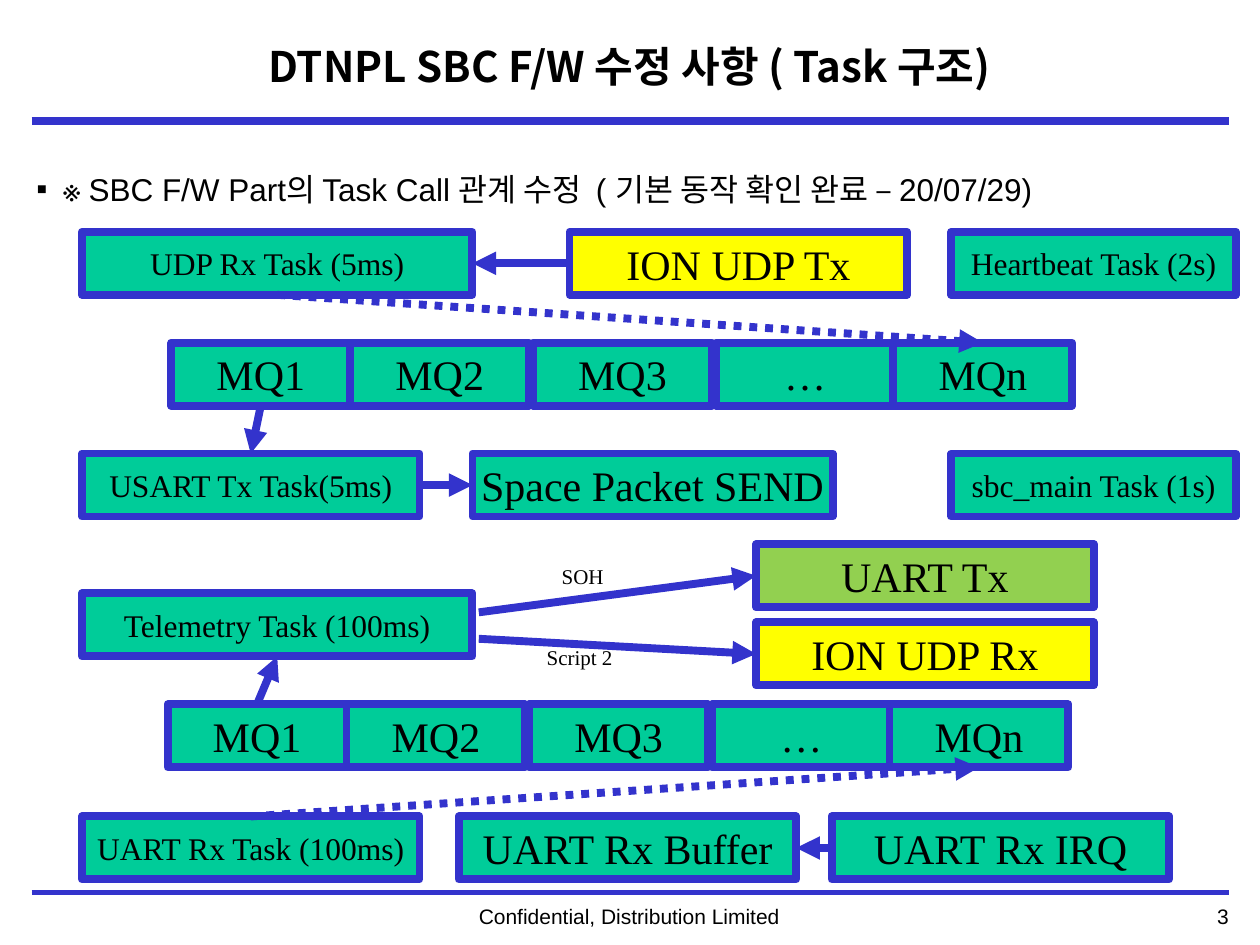
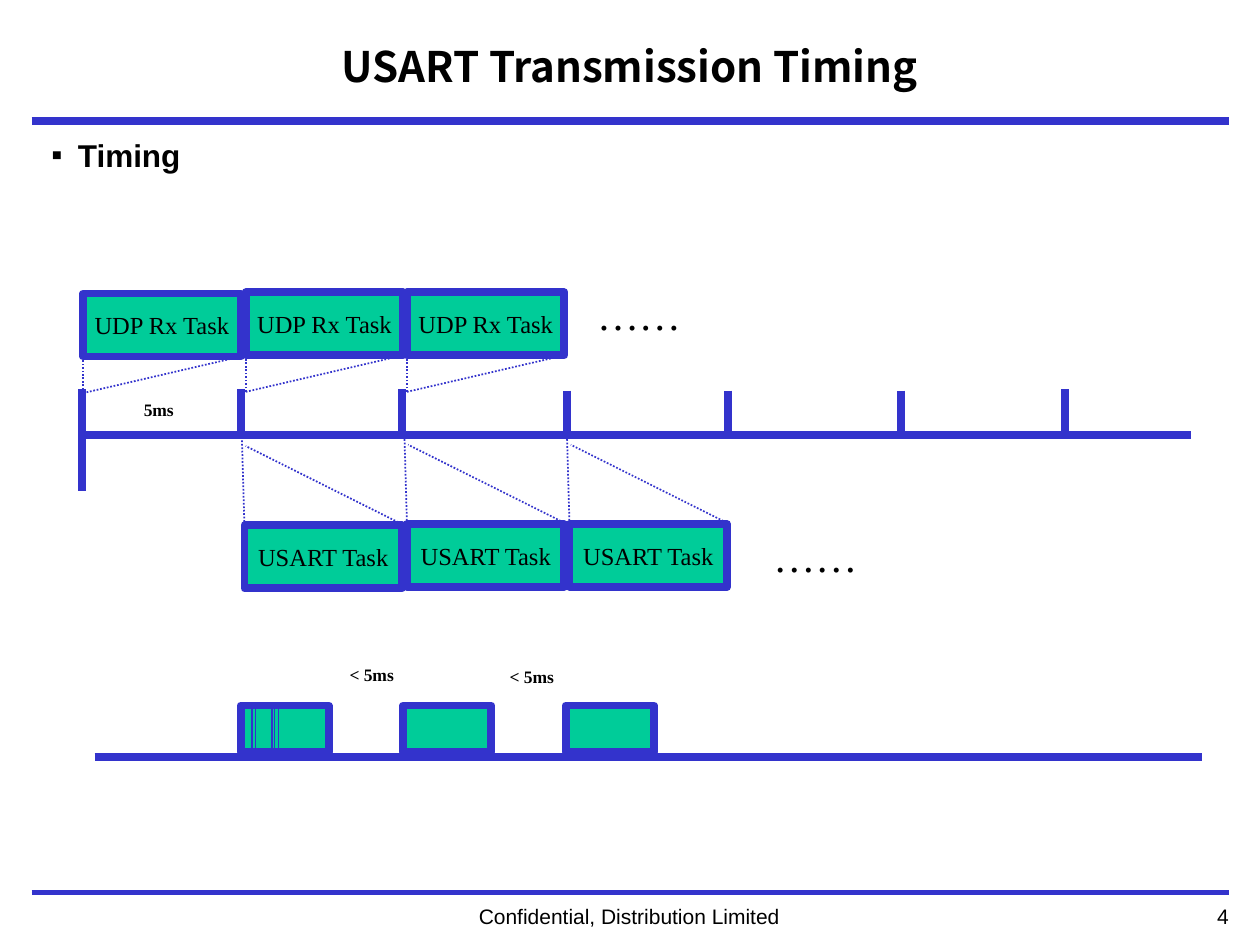
"""Build two slides on firmware task structure and transmission timing."""
from lxml.etree import SubElement
from pptx import Presentation
from pptx.dml.color import RGBColor
from pptx.enum.dml import MSO_LINE
from pptx.enum.shapes import MSO_CONNECTOR, MSO_SHAPE
from pptx.enum.text import MSO_ANCHOR, MSO_AUTO_SIZE, PP_ALIGN
from pptx.oxml.ns import qn
from pptx.util import Pt

PX = 9144
BLUE = RGBColor(0x33, 0x33, 0xCC)
GREEN = RGBColor(0x00, 0xCC, 0x99)
LIME = RGBColor(0x92, 0xD0, 0x50)
YELLOW = RGBColor(0xFF, 0xFF, 0x00)
BLACK = RGBColor(0, 0, 0)
SANS, SERIF, KOREAN = "Arial", "Times New Roman", "Noto Sans CJK KR"
TOP, LEFT, BOTTOM, RIGHT = range(4)
THICK = 4.5
BOX_HEIGHT = 50

FOOTER = "Confidential, Distribution Limited"
RULES = [(96, THICK), (708, 2), (709, 2)]

TASK_TITLE = "DTNPL SBC F/W 수정 사항 ( Task 구조)"
TASK_BULLET = [
    ("※ ", {"name": SERIF}),
    ("SBC F/W Part의 Task Call 관계 수정  ( 기본 동작 확인 완료 – 20/07/29)", {"name": SANS}),
]
QUEUE_CELLS = {"MQ1": 0, "MQ2": 142, "MQ3": 287, "…": 432, "MQn": 573}
QUEUE_CELL_WIDTH = 142
QUEUES = {"send": (136, 272), "receive": (133, 559)}
TASK_BOXES = [
    ("UDP Rx Task (5ms)", 65, 184, 310, 18, GREEN),
    ("ION UDP Tx", 452, 184, 268, 24, YELLOW),
    ("Heartbeat Task (2s)", 755, 184, 226, 18, GREEN),
    ("USART Tx Task(5ms)", 65, 360, 268, 18, GREEN),
    ("Space Packet SEND", 375, 360, 286, 24, GREEN),
    ("sbc_main Task (1s)", 755, 360, 226, 18, GREEN),
    ("Telemetry Task (100ms)", 65, 471, 310, 18, GREEN),
    ("UART Tx", 600, 432, 268, 24, LIME),
    ("ION UDP Rx", 600, 494, 268, 24, YELLOW),
    ("UART Rx Task (100ms)", 65, 648, 268, 18, GREEN),
    ("UART Rx Buffer", 364, 648, 268, 24, GREEN),
    ("UART Rx IRQ", 660, 648, 268, 24, GREEN),
]
CALLS = [
    ("ION UDP Tx", LEFT, "UDP Rx Task (5ms)", RIGHT, None),
    ("UDP Rx Task (5ms)", BOTTOM, "send MQn", TOP, MSO_LINE.ROUND_DOT),
    ("send MQ1", BOTTOM, "USART Tx Task(5ms)", TOP, None),
    ("USART Tx Task(5ms)", RIGHT, "Space Packet SEND", LEFT, None),
    ("UART Rx Task (100ms)", TOP, "receive MQn", BOTTOM, MSO_LINE.ROUND_DOT),
    ("receive MQ1", TOP, "Telemetry Task (100ms)", BOTTOM, None),
    ("UART Rx IRQ", LEFT, "UART Rx Buffer", RIGHT, None),
]
TELEMETRY_OUTPUTS = [
    ("SOH", 436, 442, (380, 486), "UART Tx"),
    ("Script 2", 424, 507, (380, 507), "ION UDP Rx"),
]

TIMING_TITLE = "USART Transmission Timing"
TIMING_BULLET = [("Timing", {"name": SANS, "bold": True})]
UDP_TASKS = [(66, 233), (195, 232), (323, 232)]
USART_TASKS = [(194, 417), (323, 416), (452, 416)]
TASK_WIDTH = 125
AXIS_Y = 345
TICKS = [(65, 309, 390), (191, 309, 345), (319, 309, 345), (450, 310, 347),
         (578, 310, 347), (715, 310, 347), (845, 309, 345)]
INTERVALS = [("5ms", 94, 312), ("< 5ms", 263, 522), ("< 5ms", 390, 524)]
ELLIPSES = [(464, 224), (604, 416)]
PULSES = [191, 320, 449]
PULSE_HEIGHT = 37
PACKET_MARKS = [(203, 560), (200, 563), (216, 560), (218, 562), (221, 559)]


def px(*lengths):
    return [length * PX for length in lengths]


def add_run(paragraph, text, east_asian=False, **font_values):
    run = paragraph.add_run()
    run.text = text
    run.font.color.rgb = BLACK
    for key, value in font_values.items():
        setattr(run.font, key, value)
    if east_asian:
        SubElement(run.font._element, qn("a:ea"), typeface=KOREAN)


def add_text(slide, text, area, align=PP_ALIGN.LEFT, **font_values):
    frame = slide.shapes.add_textbox(*px(*area)).text_frame
    frame.word_wrap = True
    paragraph = frame.paragraphs[0]
    paragraph.alignment = align
    if text:
        add_run(paragraph, text, **font_values)
    return paragraph


def add_box(slide, text, area, size=18, fill=GREEN):
    box = slide.shapes.add_shape(MSO_SHAPE.RECTANGLE, *px(*area))
    box.shadow.inherit = False
    box.fill.solid()
    box.fill.fore_color.rgb = fill
    box.line.color.rgb = BLUE
    box.line.width = Pt(THICK)
    if text:
        frame = box.text_frame
        frame.word_wrap = False
        frame.vertical_anchor = MSO_ANCHOR.MIDDLE
        paragraph = frame.paragraphs[0]
        paragraph.alignment = PP_ALIGN.CENTER
        add_run(paragraph, text, name=SERIF, size=Pt(size))
    return box


def add_line(slide, start=(0, 0), end=(0, 0), width=THICK, dash=None, arrow=False):
    line = slide.shapes.add_connector(MSO_CONNECTOR.STRAIGHT, *px(*start, *end))
    line.line.color.rgb = BLUE
    line.line.width = Pt(width)
    if dash:
        line.line.dash_style = dash
    properties = line.element.spPr
    if arrow:
        SubElement(properties.find(qn("a:ln")), qn("a:tailEnd"), type="triangle")
    SubElement(properties, qn("a:effectLst"))
    return line


def add_bullet(slide, runs, area):
    paragraph = add_text(slide, "", area)
    paragraph.space_before = Pt(3.6)
    properties = paragraph._p.get_or_add_pPr()
    properties.set("marL", str(21 * PX))
    properties.set("indent", str(-21 * PX))
    SubElement(properties, qn("a:buFont"), typeface=SANS)
    SubElement(properties, qn("a:buChar"), char="▪")
    for text, font_values in runs:
        add_run(paragraph, text, east_asian=True, size=Pt(18), **font_values)


def add_titled_slide(presentation, title_text, number):
    slide = presentation.slides.add_slide(presentation.slide_layouts[5])
    title = slide.shapes.title
    title.left, title.top, title.width, title.height = px(133, 14, 733, 77)
    frame = title.text_frame
    frame.auto_size = MSO_AUTO_SIZE.NONE
    frame.vertical_anchor = MSO_ANCHOR.MIDDLE
    paragraph = frame.paragraphs[0]
    paragraph.alignment = PP_ALIGN.CENTER
    add_run(paragraph, title_text, east_asian=True, name=KOREAN, size=Pt(24), bold=True)
    for y, width in RULES:
        add_line(slide, (25, y), (975, y), width)
    footer_font = {"name": SANS, "size": Pt(12)}
    add_text(slide, FOOTER, (245, 712, 509, 30), PP_ALIGN.CENTER, **footer_font)
    add_text(slide, str(number), (823, 712, 162, 30), PP_ALIGN.RIGHT, **footer_font)
    return slide


def build_task_slide(presentation):
    slide = add_titled_slide(presentation, TASK_TITLE, 3)
    add_bullet(slide, TASK_BULLET, (19, 130, 962, 50))
    boxes = {}
    for queue, (left, top) in QUEUES.items():
        for cell, offset in QUEUE_CELLS.items():
            area = (left + offset, top, QUEUE_CELL_WIDTH, BOX_HEIGHT)
            boxes[f"{queue} {cell}"] = add_box(slide, cell, area, 24)
    for text, left, top, width, size, fill in TASK_BOXES:
        boxes[text] = add_box(slide, text, (left, top, width, BOX_HEIGHT), size, fill)
    for caller, caller_side, target, target_side, dash in CALLS:
        arrow = add_line(slide, dash=dash, arrow=True)
        arrow.begin_connect(boxes[caller], caller_side)
        arrow.end_connect(boxes[target], target_side)
    for label, left, top, start, target in TELEMETRY_OUTPUTS:
        arrow = add_line(slide, start, start, arrow=True)
        arrow.end_connect(boxes[target], LEFT)
        add_text(slide, label, (left, top, 86, 30), name=SERIF, size=Pt(12))


def build_timing_slide(presentation):
    slide = add_titled_slide(presentation, TIMING_TITLE, 4)
    add_bullet(slide, TIMING_BULLET, (31, 103, 948, 50))
    guides = []
    for left, top in UDP_TASKS:
        add_box(slide, "UDP Rx Task", (left, top, TASK_WIDTH, BOX_HEIGHT), 14)
        bottom, instant = top + BOX_HEIGHT, (left, top + 79)
        guides += [(instant, (left, bottom)), (instant, (left + TASK_WIDTH, bottom))]
    for left, top in USART_TASKS:
        add_box(slide, "USART Task", (left, top, TASK_WIDTH, BOX_HEIGHT), 14)
        guides += [((left, top), (left - 2, top - 70)),
                   ((left + TASK_WIDTH + 2, top), (left + 1, top - 63))]
    for start, end in guides:
        add_line(slide, start, end, 1, MSO_LINE.ROUND_DOT)
    add_line(slide, (65, AXIS_Y), (945, AXIS_Y))
    for x, top, bottom in TICKS:
        add_line(slide, (x, top), (x, bottom))
    for text, left, top in INTERVALS:
        add_text(slide, text, (left, top, 64, 27), PP_ALIGN.CENTER,
                 name=SERIF, size=Pt(10), bold=True)
    for left, top in ELLIPSES:
        add_text(slide, "……", (left, top, 100, 50), name=SERIF, size=Pt(24))
    add_line(slide, (75, 601), (954, 601))
    for left in PULSES:
        add_box(slide, "", (left, 560, 70, PULSE_HEIGHT))
    for x, top in PACKET_MARKS:
        add_line(slide, (x, top), (x, top + PULSE_HEIGHT), 0.75)


def main():
    presentation = Presentation()
    presentation.slide_width, presentation.slide_height = px(1000, 750)
    build_task_slide(presentation)
    build_timing_slide(presentation)
    presentation.save("out.pptx")


if __name__ == "__main__":
    main()
